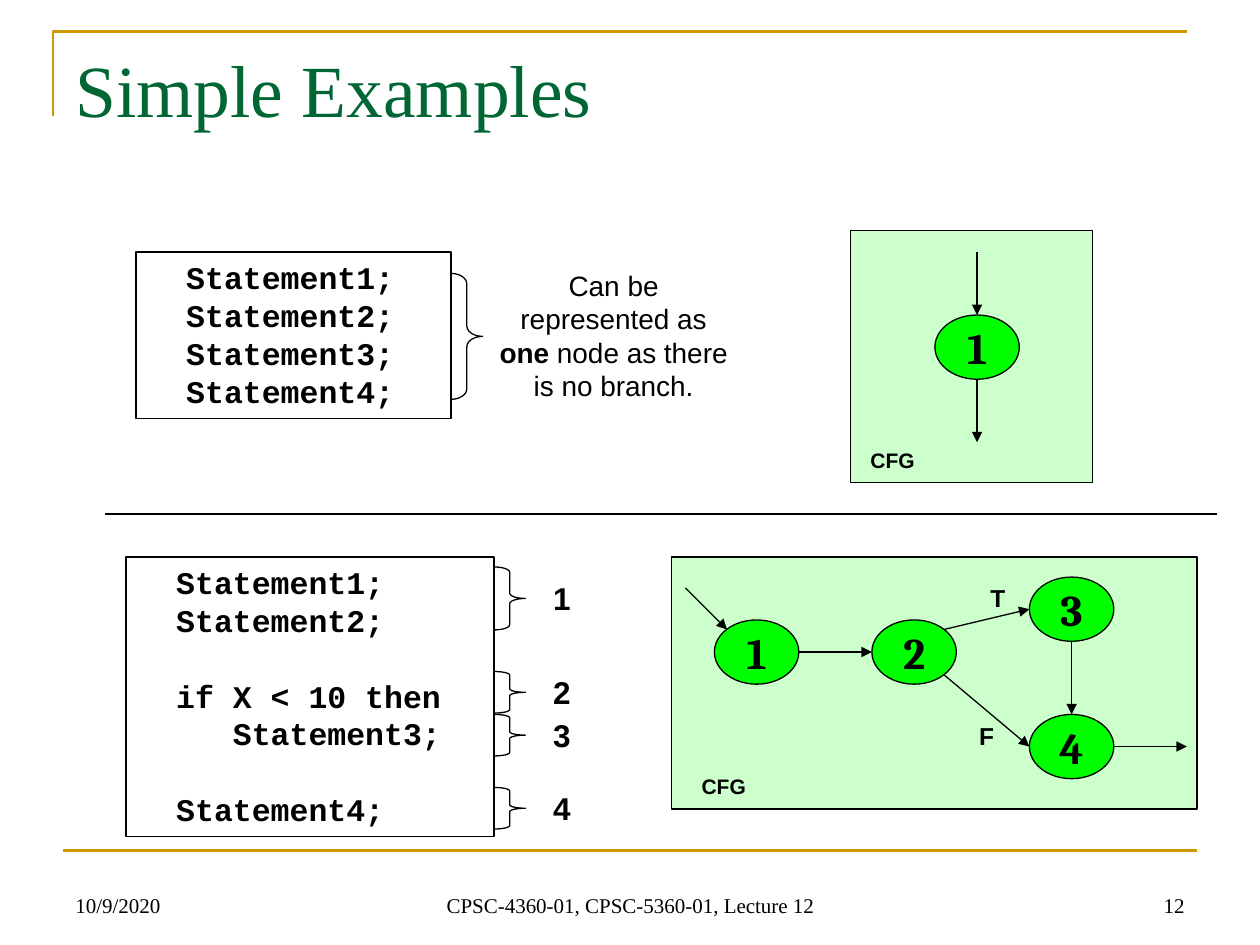
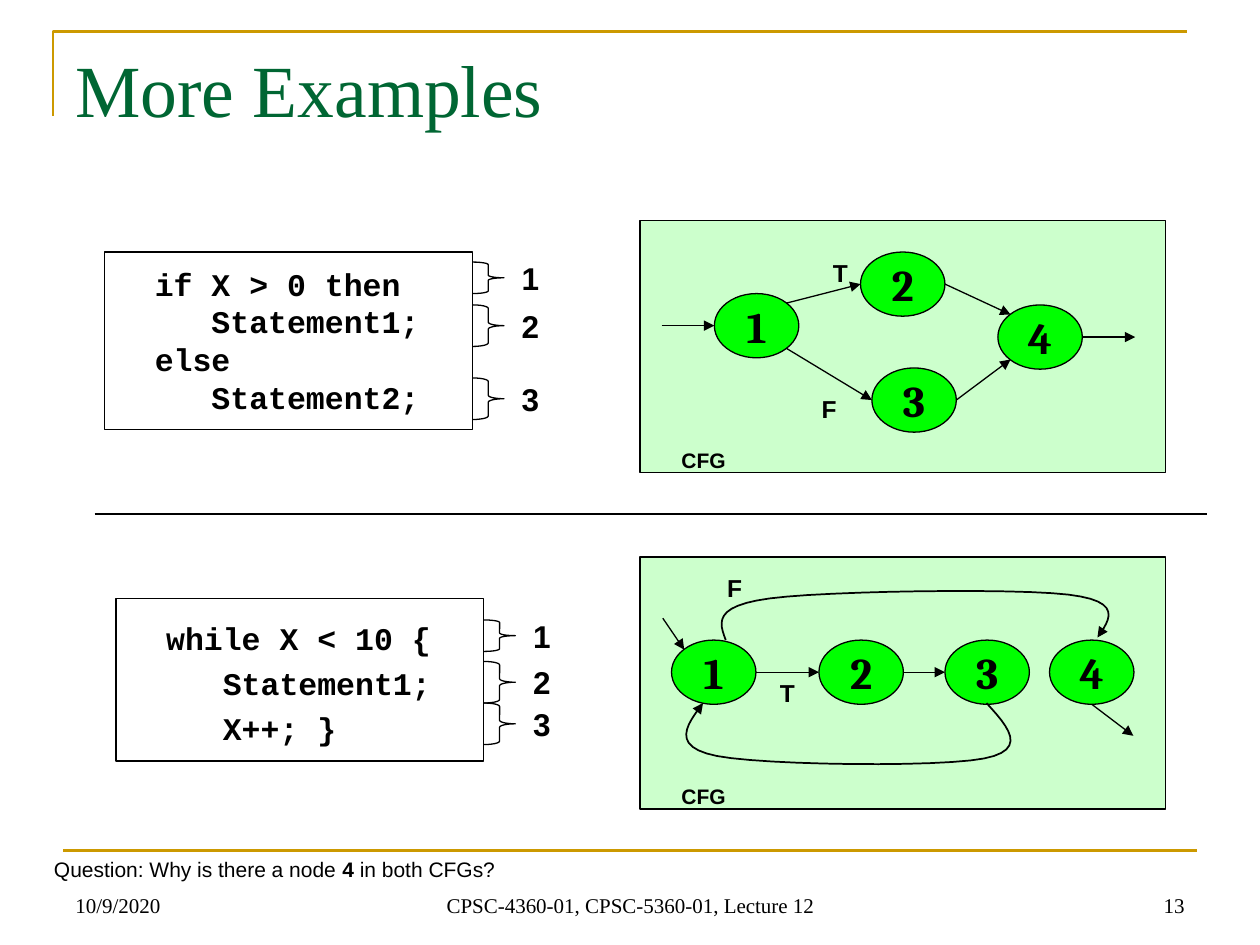
from lxml.etree import SubElement
from pptx import Presentation
from pptx.dml.color import RGBColor
from pptx.enum.shapes import MSO_CONNECTOR, MSO_SHAPE
from pptx.enum.text import MSO_ANCHOR, PP_ALIGN
from pptx.oxml.ns import qn
from pptx.util import Inches, Pt

BLACK, GOLD, GREEN = "000000", "CC9900", "006633"
PANEL, NODE = "CCFFCC", "00FF00"
SERIF, SANS, MONO, DIGIT = "Times New Roman", "Arial", "Courier New", "Cambria"
LEFT, CENTER, RIGHT = PP_ALIGN.LEFT, PP_ALIGN.CENTER, PP_ALIGN.RIGHT
TOP, MIDDLE, BOTTOM = MSO_ANCHOR.TOP, MSO_ANCHOR.MIDDLE, MSO_ANCHOR.BOTTOM
NODE_W, NODE_H, LABEL_W, LABEL_H = 0.67, 0.51, 0.42, 0.4
ACROSS = {"L": 0, "R": 1}
DOWN = {"T": 0, "B": 1}


def stroke(sp, color=BLACK, width=0.75, arrow=False):
    sp.line.color.rgb = RGBColor.from_string(color)
    sp.line.width = Pt(width)
    if arrow:
        SubElement(sp.line._get_or_add_ln(), qn("a:tailEnd"), type="triangle")
    SubElement(sp._element.spPr, qn("a:effectLst"))


def write(sp, lines, size, font, color=BLACK, bold=False, align=CENTER,
          anchor=TOP, pad=0.05, spacing=1.2, wrap=True):
    tf = sp.text_frame
    tf.word_wrap = wrap
    tf.vertical_anchor = anchor
    tf.margin_top = tf.margin_bottom = Inches(pad)
    p, gap = tf.paragraphs[0], 0
    for line in lines:
        if not line:
            gap += size * spacing
            continue
        if p.runs:
            p = tf.add_paragraph()
        p.alignment = align
        p.line_spacing = Pt(size * spacing)
        if gap:
            p.space_before = Pt(gap)
            gap = 0
        for i, text in enumerate(line.split("*")):
            r = p.add_run()
            r.text = text
            r.font.size = Pt(size)
            r.font.name = font
            r.font.bold = bold or i % 2 == 1
            r.font.color.rgb = RGBColor.from_string(color)


slides = [
    {
        "title": "Simple Examples",
        "divider": 0.83,
        "pad": 0.05,
        "number_gap": 0.33,
        "codes": [
            {"box": (1.08, 2, 2.5, 1.32),
             "lines": [f"  Statement{n};" for n in range(1, 5)],
             "braces": [(2.17, 1)], "numbered": False},
            {"box": (1, 4.42, 2.92, 2.22),
             "lines": ["  Statement1;", "  Statement2;", "",
                       "  if X < 10 then", "     Statement3;", "",
                       "  Statement4;"],
             "braces": [(4.5, 0.5), (5.33, 0.33), (5.67, 0.33),
                        (6.25, 0.33)]},
        ],
        "graphs": [
            {"panel": (6.75, 1.83, 1.92), "caption": (0, 1.67),
             "nodes": [(7.42, 2.5)],
             "entry": ("1T", 0, -0.5), "exit": ("1B", 0, 0.5)},
            {"panel": (5.33, 4.42, 4.17), "caption": (0.08, 1.67),
             "nodes": [(5.67, 4.92), (6.92, 4.92), (8.17, 4.58),
                       (8.17, 5.67)],
             "edges": "1R-2L 2TR-3L 2BR-4L 3B-4T",
             "entry": ("1TL", -0.33, -0.33), "exit": ("4R", 0.58, 0),
             "branches": [("T", 7.67, 4.58), ("F", 7.58, 5.67)]},
        ],
        "note": ("Can be represented as *one *node as there is no branch.",
                 (3.83, 2.08, 2.08, 1.17), 16, CENTER),
    },
    {
        "title": "More Examples",
        "divider": 0.75,
        "pad": 0.1,
        "number_gap": 0.25,
        "codes": [
            {"box": (0.83, 2, 2.92, 1.41),
             "lines": ["  if X > 0 then", "     Statement1;", "  else",
                       "     Statement2;"],
             "braces": [(2.08, 0.25), (2.42, 0.33), (3, 0.33)]},
            {"box": (0.92, 4.75, 2.92, 1.29), "spacing": 1.44,
             "lines": ["  while X < 10 {", "     Statement1;",
                       "     X++; }"],
             "braces": [(4.92, 0.25), (5.25, 0.33), (5.58, 0.33)]},
        ],
        "graphs": [
            {"panel": (5.08, 1.75, 4.17), "caption": (0.17, 1.75),
             "nodes": [(5.67, 2.33), (6.83, 2), (6.92, 2.92), (7.92, 2.42)],
             "edges": "1TR-2L 1BR-3L 2R-4TL 3R-4BL",
             "entry": ("1L", -0.42, 0), "exit": ("4R", 0.42, 0),
             "branches": [("T", 6.42, 2), ("F", 6.33, 3.08)]},
            {"panel": (5.08, 4.42, 4.17), "caption": (0.17, 1.75),
             "nodes": [(x, 5.08) for x in (5.33, 6.5, 7.5, 8.33)],
             "edges": "1R-2L 2R-3L",
             "entry": ("1TL", -0.17, -0.25), "exit": ("4B", 0.33, 0.25),
             "branches": [("T", 6, 5.33), ("F", 5.58, 4.5)],
             "curves": [
                 [(5.76, 5.08), (6.11, 4.75), (8.48, 4.72), (8.71, 5.06)],
                 [(7.83, 5.58), (7.81, 6.02), (5.69, 6), (5.58, 5.58)]]},
        ],
        "note": ("Question: Why is there a node *4 *in both CFGs?",
                 (0.33, 6.75, 4.25, 0.3), 12, LEFT),
    },
]

prs = Presentation()
prs.slide_width, prs.slide_height = Inches(10), Inches(7.5)

for number, data in enumerate(slides, 12):
    s = prs.slides.add_slide(prs.slide_layouts[6])
    shapes = s.shapes
    x = data["divider"]
    lines = [((x, 4.08, x + 8.83, 4.08), BLACK, 1, False),
             ((0.5, 6.75, 9.5, 6.75), GOLD, 1.5, False)]
    labels = []
    curves = [([(0.42, 0.92), (0.42, 0.25), (9.42, 0.25)], GOLD, 1.5, False)]

    for code in data["codes"]:
        x, y, w, h = code["box"]
        sp = shapes.add_shape(MSO_SHAPE.RECTANGLE, *map(Inches, code["box"]))
        sp.fill.background()
        stroke(sp)
        write(sp, code["lines"], 18, MONO, bold=True, align=LEFT,
              pad=data["pad"], spacing=code.get("spacing", 1.2))
        for n, (top, height) in enumerate(code["braces"], 1):
            sp = shapes.add_shape(MSO_SHAPE.RIGHT_BRACE, Inches(x + w),
                                  Inches(top), Inches(0.25), Inches(height))
            sp.adjustments[0] = height / 3
            sp.fill.background()
            stroke(sp)
            if code.get("numbered", True):
                label_y = top + (height - LABEL_H) / 2
                labels.append((str(n), (x + w + data["number_gap"], label_y,
                                        LABEL_W, LABEL_H), 18))

    for graph in data["graphs"]:
        x, y, w = graph["panel"]
        sp = shapes.add_shape(MSO_SHAPE.RECTANGLE, Inches(x), Inches(y),
                              Inches(w), Inches(2))
        sp.fill.solid()
        sp.fill.fore_color.rgb = RGBColor.from_string(PANEL)
        stroke(sp, width=1)
        dx, dy = graph["caption"]
        labels.append(("CFG", (x + dx, y + dy, 0.67, 0.3), 12))
        labels += [(text, (bx, by, 0.5, 0.33), 14)
                   for text, bx, by in graph.get("branches", [])]

        sites = {}
        for n, (x, y) in enumerate(graph["nodes"], 1):
            sp = shapes.add_shape(MSO_SHAPE.OVAL, Inches(x), Inches(y),
                                  Inches(NODE_W), Inches(NODE_H))
            sp.fill.solid()
            sp.fill.fore_color.rgb = RGBColor.from_string(NODE)
            stroke(sp)
            write(sp, [str(n)], 25, DIGIT, bold=True, anchor=MIDDLE,
                  wrap=False)
            for side, fx in ACROSS.items():
                sites[f"{n}{side}"] = (x + fx * NODE_W, y + NODE_H / 2)
                for edge, fy in DOWN.items():
                    sites[f"{n}{edge}"] = (x + NODE_W / 2, y + fy * NODE_H)
                    sites[f"{n}{edge}{side}"] = (
                        x + NODE_W * (0.15 + 0.7 * fx),
                        y + NODE_H * (0.15 + 0.7 * fy))

        arrows = []
        for edge in graph.get("edges", "").split():
            start, end = edge.split("-")
            arrows.append((*sites[start], *sites[end]))
        site, dx, dy = graph["entry"]
        x, y = sites[site]
        arrows.append((x + dx, y + dy, x, y))
        site, dx, dy = graph["exit"]
        x, y = sites[site]
        arrows.append((x, y, x + dx, y + dy))
        lines += [(arrow, BLACK, 0.75, True) for arrow in arrows]

        for p0, p1, p2, p3 in graph.get("curves", []):
            before = [b - (c - a) / 6 for a, b, c in zip(p0, p1, p2)]
            after = [b + (c - a) / 6 for a, b, c in zip(p0, p1, p2)]
            near = [c - (d - b) / 6 for b, c, d in zip(p1, p2, p3)]
            beyond = [c + (d - b) / 6 for b, c, d in zip(p1, p2, p3)]
            first = [(a + b) / 2 for a, b in zip(p0, before)]
            last = [(a + b) / 2 for a, b in zip(beyond, p3)]
            points = [p0]
            for part in ((p0, first, before, p1), (p1, after, near, p2),
                         (p2, beyond, last, p3)):
                for step in range(1, 13):
                    t = step / 12
                    u = 1 - t
                    points.append([
                        a * u**3 + 3 * t * u * (b * u + c * t) + d * t**3
                        for a, b, c, d in zip(*part)])
            curves.append((points, BLACK, 1, True))

    for ends, color, width, arrow in lines:
        sp = shapes.add_connector(MSO_CONNECTOR.STRAIGHT, *map(Inches, ends))
        stroke(sp, color, width, arrow)

    for points, color, width, arrow in curves:
        start, *rest = [tuple(map(Inches, point)) for point in points]
        fb = shapes.build_freeform(*start)
        fb.add_line_segments(rest, close=False)
        sp = fb.convert_to_shape()
        sp.fill.background()
        stroke(sp, color, width, arrow)

    for text, box, size in labels:
        sp = shapes.add_textbox(*map(Inches, box))
        write(sp, [text], size, SANS, bold=True)

    text, box, size, align = data["note"]
    sp = shapes.add_textbox(*map(Inches, box))
    write(sp, [text], size, SANS, align=align)

    sp = shapes.add_textbox(Inches(0.5), Inches(0.3), Inches(9), Inches(1.25))
    write(sp, [data["title"]], 42, SERIF, GREEN, align=LEFT)

    footers = [("10/9/2020", 0.5, 2.33, LEFT),
               ("CPSC-4360-01, CPSC-5360-01, Lecture 12", 3.42, 3.17, CENTER),
               (str(number), 7.17, 2.33, RIGHT)]
    for text, x, w, align in footers:
        sp = shapes.add_textbox(Inches(x), Inches(6.83), Inches(w),
                                Inches(0.5))
        write(sp, [text], 12, SERIF, align=align, anchor=BOTTOM)

prs.save("out.pptx")
